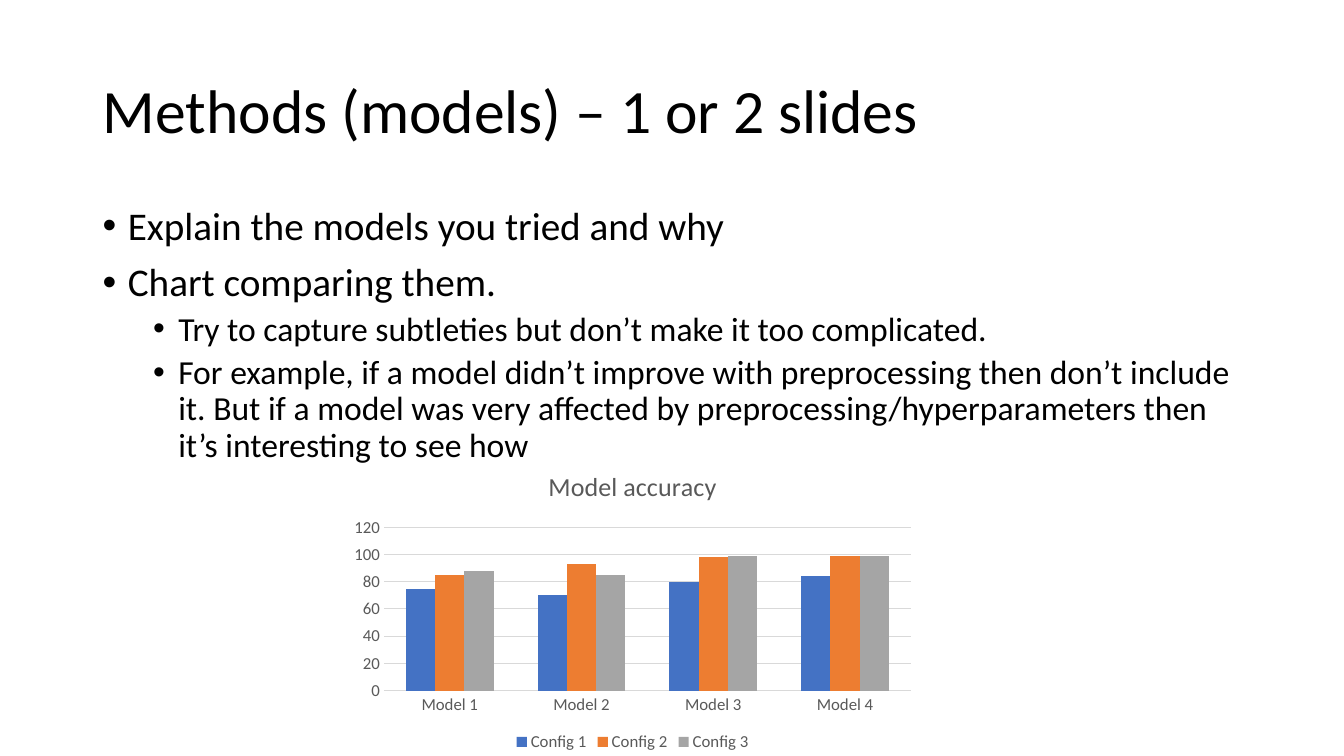
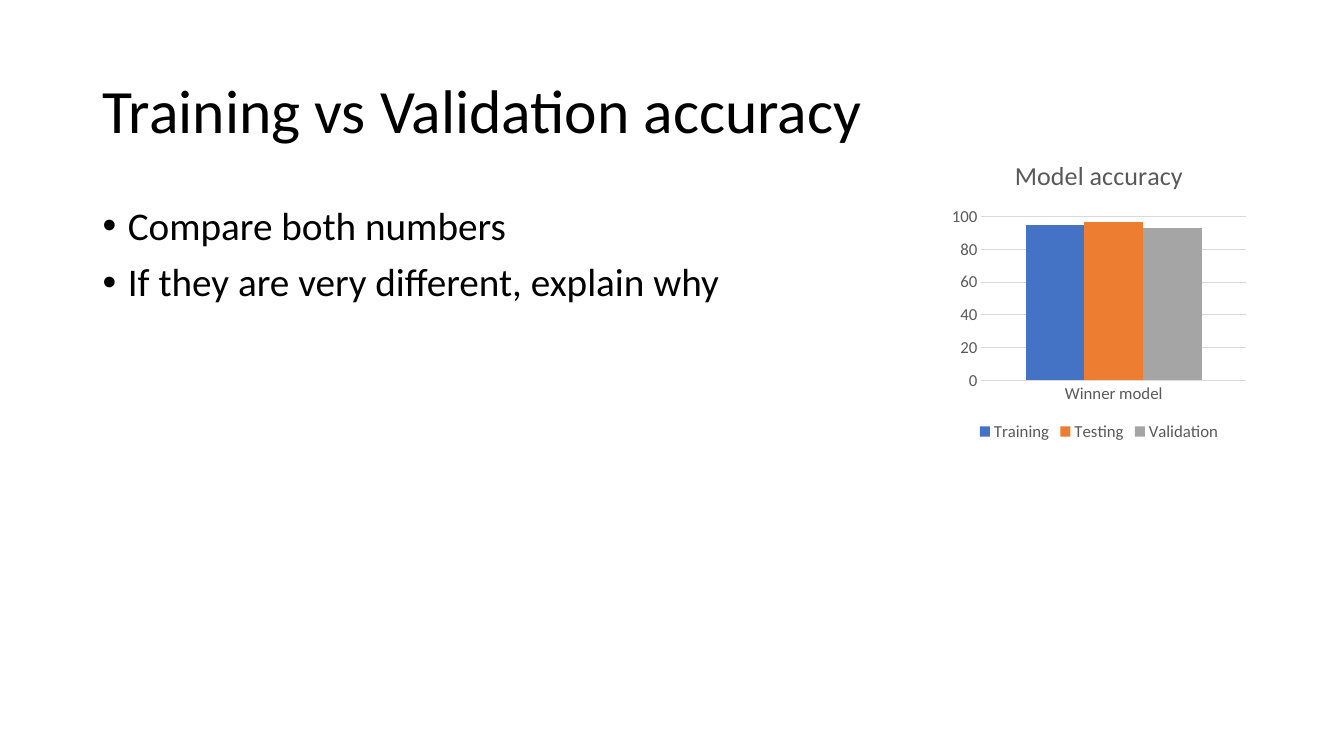
from lxml import etree
from pptx import Presentation
from pptx.chart.data import CategoryChartData
from pptx.dml.color import RGBColor
from pptx.enum.chart import XL_CHART_TYPE, XL_LEGEND_POSITION, XL_TICK_MARK
from pptx.enum.text import MSO_ANCHOR
from pptx.oxml.ns import qn
from pptx.util import Inches, Pt

CLUSTERED = XL_CHART_TYPE.COLUMN_CLUSTERED
LEGEND_BOTTOM = XL_LEGEND_POSITION.BOTTOM
NO_TICK = XL_TICK_MARK.NONE
MIDDLE, TOP = MSO_ANCHOR.MIDDLE, MSO_ANCHOR.TOP

# Shared style
FONT = "Calibri"
BLACK, GREY, RULE = "000000", "595959", "D9D9D9"
SERIES_COLORS = ["4472C4", "ED7D31", "A5A5A5"]
TITLE_BOX = (0.92, 0.4, 11.5, 1.45)
BODY_BOX = (0.92, 2, 11.5, 4.76)
# Per bullet level: size, space before (points), left indent (inches)
LEVELS = [(28, 10, 0.25), (24, 5, 0.75)]
HANGING = 0.25

# Content: bullets are (level, text)
SLIDES = [
    {
        "title": "Methods (models) – 1 or 2 slides",
        "bullets": [
            (0, "Explain the models you tried and why"),
            (0, "Chart comparing them."),
            (1, "Try to capture subtleties but don’t make it too complicated."),
            (1, "For example, if a model didn’t improve with preprocessing then "
                "don’t include it. But if a model was very affected by "
                "preprocessing/hyperparameters then it’s interesting to see how"),
        ],
        "chart": {
            "box": (3.4, 4.48, 5.75, 3.02),
            "title": "Model accuracy",
            "categories": ["Model 1", "Model 2", "Model 3", "Model 4"],
            "series": {
                "Config 1": [75, 70, 80, 84],
                "Config 2": [85, 93, 98, 99],
                "Config 3": [88, 85, 99, 99],
            },
            "maximum": 120,
        },
    },
    {
        "title": "Training vs Validation accuracy",
        "bullets": [
            (0, "Compare both numbers"),
            (0, "If they are very different, explain why"),
        ],
        "chart": {
            "box": (9.38, 1.4, 3.04, 3.02),
            "title": "Model accuracy",
            "categories": ["Winner model"],
            "series": {"Training": [95], "Testing": [97], "Validation": [93]},
            "maximum": 100,
        },
    },
]


def rgb(color):
    return RGBColor.from_string(color)


def inches(box):
    return [Inches(length) for length in box]


def style_font(font, size, color):
    font.name, font.size, font.bold = FONT, Pt(size), False
    font.color.rgb = rgb(color)


def add_text_frame(slide, box, anchor):
    frame = slide.shapes.add_textbox(*inches(box)).text_frame
    frame.word_wrap = True
    frame.vertical_anchor = anchor
    return frame


def write(paragraph, text, size):
    paragraph.text = text
    paragraph.line_spacing = 0.9
    style_font(paragraph.runs[0].font, size, BLACK)


def add_bullets(slide, bullets):
    frame = add_text_frame(slide, BODY_BOX, TOP)
    for index, (level, text) in enumerate(bullets):
        paragraph = frame.add_paragraph() if index else frame.paragraphs[0]
        size, space_before, indent = LEVELS[level]
        write(paragraph, text, size)
        paragraph.level = level
        paragraph.space_before = Pt(space_before)
        # Hanging bullet
        properties = paragraph._p.get_or_add_pPr()
        properties.set("marL", str(Inches(indent)))
        properties.set("indent", str(-Inches(HANGING)))
        etree.SubElement(properties, qn("a:buFont")).set("typeface", "Arial")
        etree.SubElement(properties, qn("a:buChar")).set("char", "•")


def style_axis(axis):
    axis.major_tick_mark = axis.minor_tick_mark = NO_TICK
    style_font(axis.tick_labels.font, 12, GREY)


def style_rule(line):
    line.color.rgb = rgb(RULE)
    line.width = Pt(0.75)


def add_accuracy_chart(slide, content):
    data = CategoryChartData()
    data.categories = content["categories"]
    for name, values in content["series"].items():
        data.add_series(name, values)
    chart = slide.shapes.add_chart(CLUSTERED, *inches(content["box"]), data).chart
    style_font(chart.font, 10, BLACK)

    # Title and legend
    chart.has_title = True
    heading = chart.chart_title.text_frame
    heading.text = content["title"]
    style_font(heading.paragraphs[0].runs[0].font, 18.6, GREY)
    chart.chart_title.include_in_layout = False
    chart.has_legend = True
    chart.legend.position = LEGEND_BOTTOM
    chart.legend.include_in_layout = False
    style_font(chart.legend.font, 12, GREY)

    # Axes
    style_axis(chart.category_axis)
    style_rule(chart.category_axis.format.line)
    scale = chart.value_axis
    style_axis(scale)
    scale.format.line.fill.background()
    scale.minimum_scale, scale.maximum_scale = 0, content["maximum"]
    scale.major_unit = 20
    scale.has_major_gridlines = True
    style_rule(scale.major_gridlines.format.line)

    # Columns
    plot = chart.plots[0]
    plot.gap_width, plot.overlap = 150, 0
    plot.vary_by_categories = False
    for series, color in zip(plot.series, SERIES_COLORS):
        series.format.fill.solid()
        series.format.fill.fore_color.rgb = rgb(color)


def main():
    deck = Presentation()
    deck.slide_width, deck.slide_height = Inches(13.33), Inches(7.5)
    blank = deck.slide_layouts[6]
    for content in SLIDES:
        slide = deck.slides.add_slide(blank)
        title = add_text_frame(slide, TITLE_BOX, MIDDLE)
        write(title.paragraphs[0], content["title"], 44)
        add_bullets(slide, content["bullets"])
        add_accuracy_chart(slide, content["chart"])
    deck.save("out.pptx")


if __name__ == "__main__":
    main()
